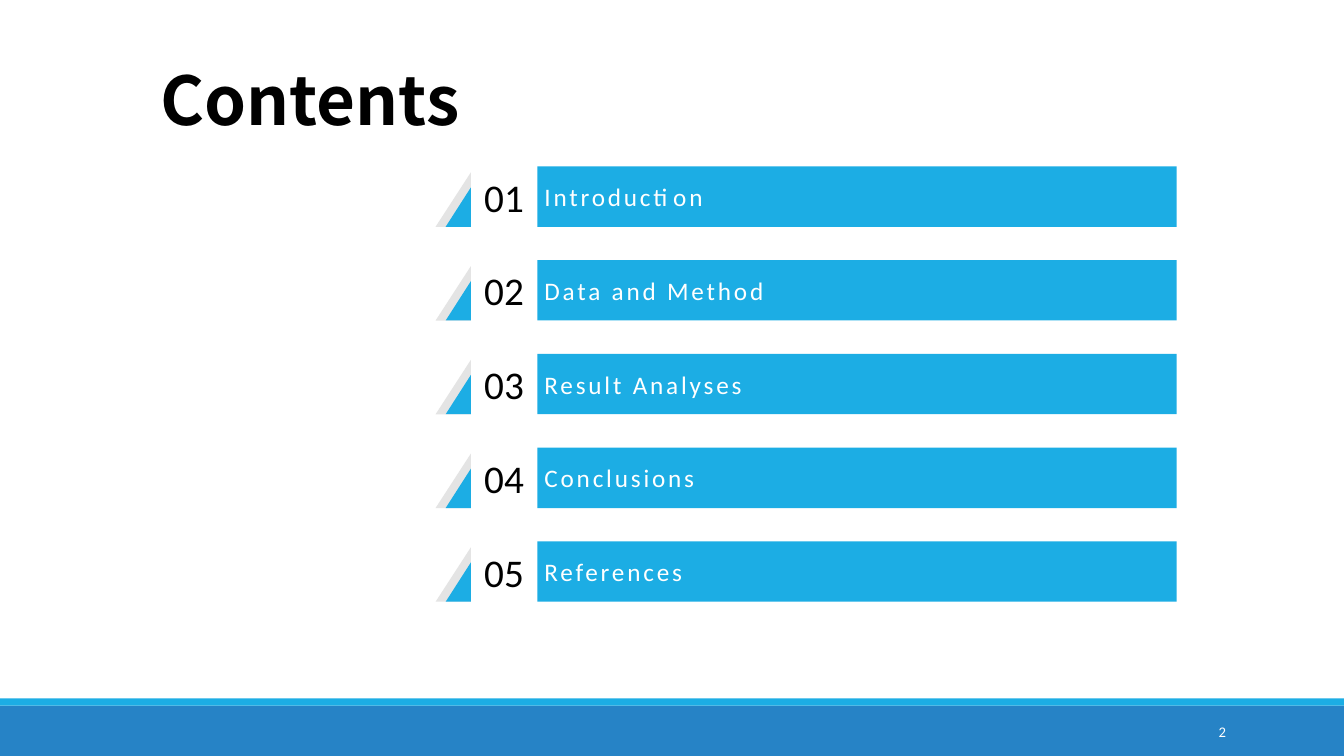
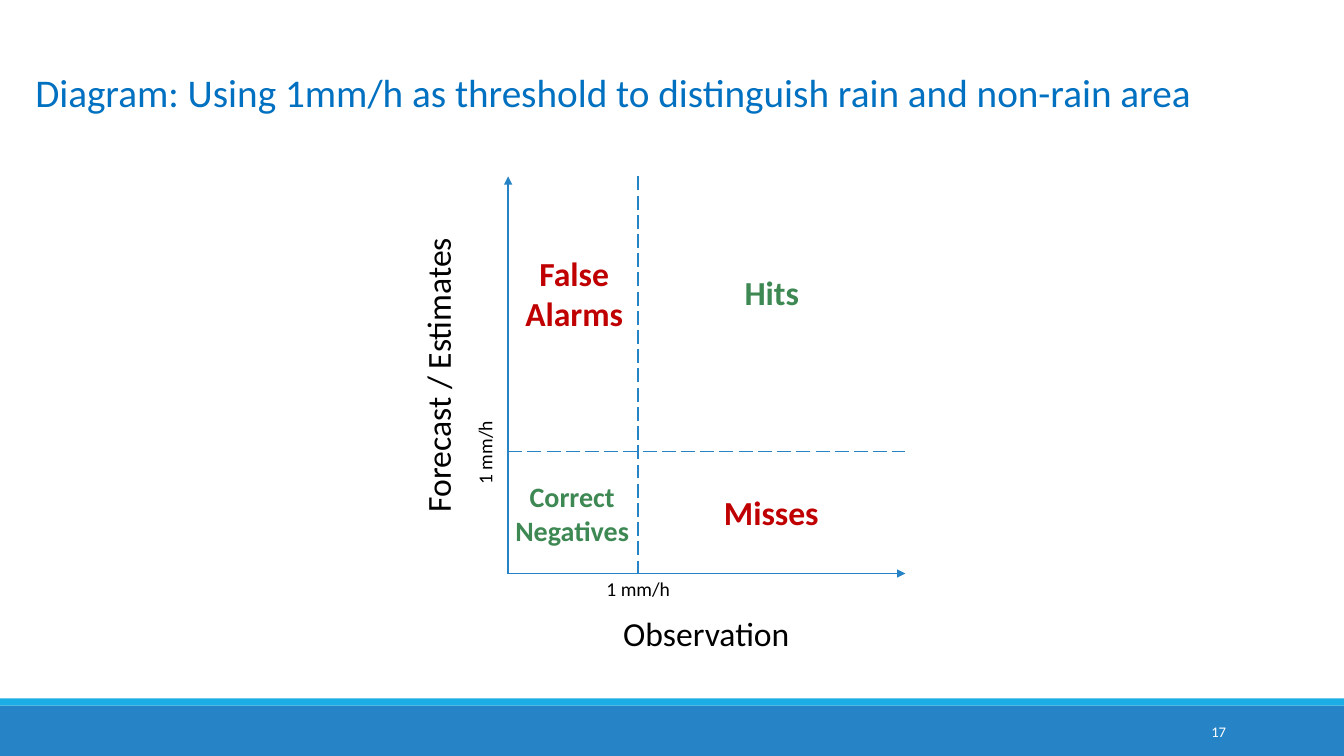
from lxml.etree import SubElement
from pptx import Presentation
from pptx.dml.color import RGBColor
from pptx.enum.dml import MSO_LINE
from pptx.enum.shapes import MSO_CONNECTOR, MSO_SHAPE
from pptx.enum.text import MSO_ANCHOR, MSO_AUTO_SIZE, PP_ALIGN
from pptx.oxml.ns import qn
from pptx.util import Inches, Pt

# Colours and fonts
BLACK = RGBColor(0x00, 0x00, 0x00)
WHITE = RGBColor(0xFF, 0xFF, 0xFF)
BLUE = RGBColor(0x26, 0x83, 0xC6)
CYAN = RGBColor(0x1C, 0xAD, 0xE4)
TITLE_BLUE = RGBColor(0x00, 0x70, 0xC0)
GREY = RGBColor(0xE4, 0xE4, 0xE4)
GREEN = RGBColor(0x3E, 0x88, 0x53)
RED = RGBColor(0xC0, 0x00, 0x00)
BODY_FONT = "Calibri"
TITLE_FONT = "Noto Sans CJK SC"

WIDTH, HEIGHT = 13.33, 7.5
BAND_TOP, STRIPE_TOP = 7, 6.93
NO_MARGINS = (0, 0, 0, 0)
TEXT_MARGINS = (0.1, 0.05, 0.1, 0.05)


class Deck:
    """Holds the presentation, its style and the current slide."""

    def __init__(self):
        self.prs = Presentation()
        self.prs.slide_width = Inches(WIDTH)
        self.prs.slide_height = Inches(HEIGHT)
        self.s = None

    def slide(self, number):
        """Start a slide with the footer bands and its number."""
        self.s = self.prs.slides.add_slide(self.prs.slide_layouts[5])
        self.band(BAND_TOP, HEIGHT - BAND_TOP, BLUE)
        self.band(STRIPE_TOP, BAND_TOP - STRIPE_TOP, CYAN)
        self.text(number, (10.83, 7.06, 1.43, 0.4), size=10.5, color=WHITE,
                  align=PP_ALIGN.RIGHT, anchor=MSO_ANCHOR.MIDDLE)

    def fill(self, sp, color):
        sp.shadow.inherit = False
        sp.fill.solid()
        sp.fill.fore_color.rgb = color
        sp.line.fill.background()

    def band(self, top, height, color):
        sp = self.s.shapes.add_shape(MSO_SHAPE.RECTANGLE, 0, Inches(top),
                                     Inches(WIDTH), Inches(height))
        self.fill(sp, color)

    def set_text(self, sp, text, size, color=BLACK, font=BODY_FONT, bold=False,
                 align=PP_ALIGN.CENTER, anchor=MSO_ANCHOR.TOP,
                 margins=TEXT_MARGINS, spacing=None):
        """Put one formatted paragraph into a shape."""
        left, top, right, bottom = margins
        tf = sp.text_frame
        frame_format = {
            "word_wrap": True, "auto_size": MSO_AUTO_SIZE.NONE,
            "vertical_anchor": anchor,
            "margin_left": Inches(left), "margin_top": Inches(top),
            "margin_right": Inches(right), "margin_bottom": Inches(bottom),
        }
        for name, value in frame_format.items():
            setattr(tf, name, value)
        p = tf.paragraphs[0]
        p.alignment = align
        r = p.add_run()
        r.text = text
        for name, value in {"name": font, "size": Pt(size), "bold": bold}.items():
            setattr(r.font, name, value)
        r.font.color.rgb = color
        if spacing:
            r._r.get_or_add_rPr().set("spc", str(spacing * 100))

    def title(self, text, box, **style):
        sp = self.s.shapes.title
        for name, value in zip(("left", "top", "width", "height"), box):
            setattr(sp, name, Inches(value))
        self.set_text(sp, text, **style)

    def text(self, text, box, rotation=0, **style):
        sp = self.s.shapes.add_textbox(*map(Inches, box))
        sp.rotation = rotation
        self.set_text(sp, text, **style)

    def outline(self, contours, color):
        """Draw one filled freeform made of closed contours."""
        contours = [[(Inches(x), Inches(y)) for x, y in c] for c in contours]
        builder = self.s.shapes.build_freeform(*contours[0][0])
        for i, points in enumerate(contours):
            if i:
                builder.move_to(*points[0])
            builder.add_line_segments(points[1:], close=True)
        sp = builder.convert_to_shape()
        self.fill(sp, color)
        return sp

    def line(self, start, end, arrow=False):
        """Draw a solid arrow or a dashed line."""
        c = self.s.shapes.add_connector(MSO_CONNECTOR.STRAIGHT,
                                        *map(Inches, start + end))
        c.line.color.rgb = BLUE
        c.line.width = Pt(1.25)
        if arrow:
            ln = c._element.spPr.find(qn("a:ln"))
            SubElement(ln, qn("a:tailEnd")).set("type", "triangle")
        else:
            c.line.dash_style = MSO_LINE.LONG_DASH
        SubElement(c._element.spPr, qn("a:effectLst"))


def contents_slide(deck):
    deck.slide("2")
    deck.title("Contents", (1.44, 0.62, 3.27, 0.71), size=48, font=TITLE_FONT,
               bold=True, anchor=MSO_ANCHOR.MIDDLE, margins=NO_MARGINS)

    first_top, pitch, row_height = 1.65, 0.93, 0.6
    number_left, bar_left, bar_right = 4.67, 5.33, 11.67
    topics = ["Introduction", "Data and Method", "Result Analyses",
              "Conclusions", "References"]
    for i, topic in enumerate(topics):
        top = first_top + i * pitch
        bottom = top + row_height
        # Grey corner behind the blue one
        deck.outline([[(number_left, top + 0.06), (number_left, bottom),
                       (4.32, bottom)]], GREY)
        # Blue corner and bar
        corner = [(number_left, top + 0.21), (number_left, bottom), (4.42, bottom)]
        bar = [(bar_left, top), (bar_right, top),
               (bar_right, bottom), (bar_left, bottom)]
        sp = deck.outline([corner, bar], CYAN)
        deck.set_text(sp, topic, size=18, color=WHITE, align=PP_ALIGN.LEFT,
                      anchor=MSO_ANCHOR.MIDDLE, margins=(0.98, 0, 0, 0), spacing=2)
        deck.text(f"{i + 1:02}",
                  (number_left, top, bar_left - number_left, row_height),
                  size=28, anchor=MSO_ANCHOR.MIDDLE, margins=NO_MARGINS)


def diagram_slide(deck):
    deck.slide("17")
    deck.title("Diagram: Using 1mm/h as threshold to distinguish rain and non-rain area",
               (0.25, 0.63, 12.8, 0.57), size=28, color=TITLE_BLUE,
               align=PP_ALIGN.LEFT)

    # Axes and thresholds
    left, right, top, bottom = 5.04, 8.98, 1.75, 5.69
    threshold_x, threshold_y = 6.33, 4.48
    deck.line((left, bottom), (right, bottom), arrow=True)
    deck.line((left, bottom), (left, top), arrow=True)
    deck.line((threshold_x, top), (threshold_x, bottom))
    deck.line((left, threshold_y), (right, threshold_y))

    # Axis labels
    for label, box, rotation, size in [
        ("Observation", (5.6, 6.03, 2.81, 0.5), 0, 24),
        ("Forecast / Estimates", (2.82, 3.47, 3.04, 0.5), 270, 24),
        ("1 mm/h", (5.69, 5.67, 1.28, 0.34), 0, 14),
        ("1 mm/h", (4.17, 4.32, 1.28, 0.34), 270, 14),
    ]:
        deck.text(label, box, rotation, size=size)

    # Quadrants
    for label, box, size, color in [
        ("Hits", (7.23, 2.65, 0.85, 0.5), 24, GREEN),
        ("False Alarms", (5.09, 2.46, 1.21, 0.91), 24, RED),
        ("Misses", (7.05, 4.83, 1.2, 0.5), 24, RED),
        ("Correct Negatives", (5, 4.71, 1.35, 0.77), 20, GREEN),
    ]:
        deck.text(label, box, size=size, color=color, bold=True)


def main():
    deck = Deck()
    contents_slide(deck)
    diagram_slide(deck)
    deck.prs.save("out.pptx")


if __name__ == "__main__":
    main()
